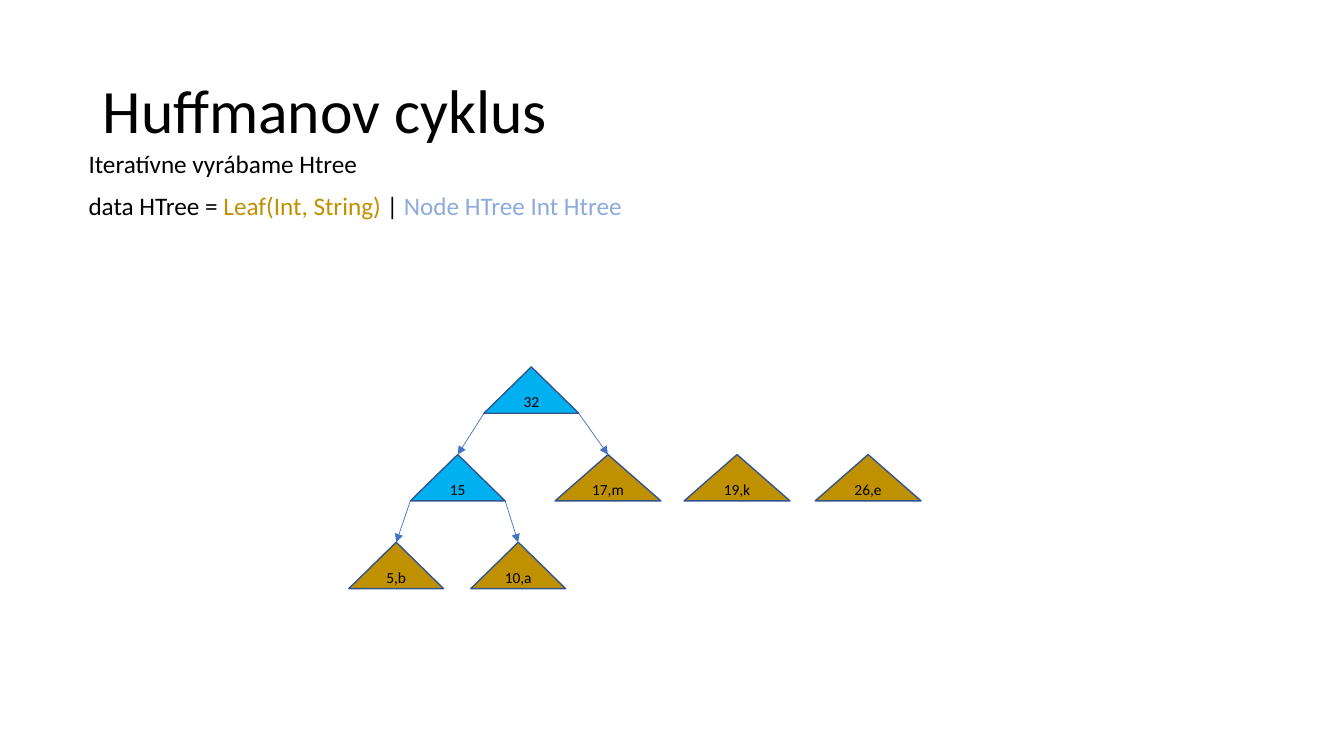
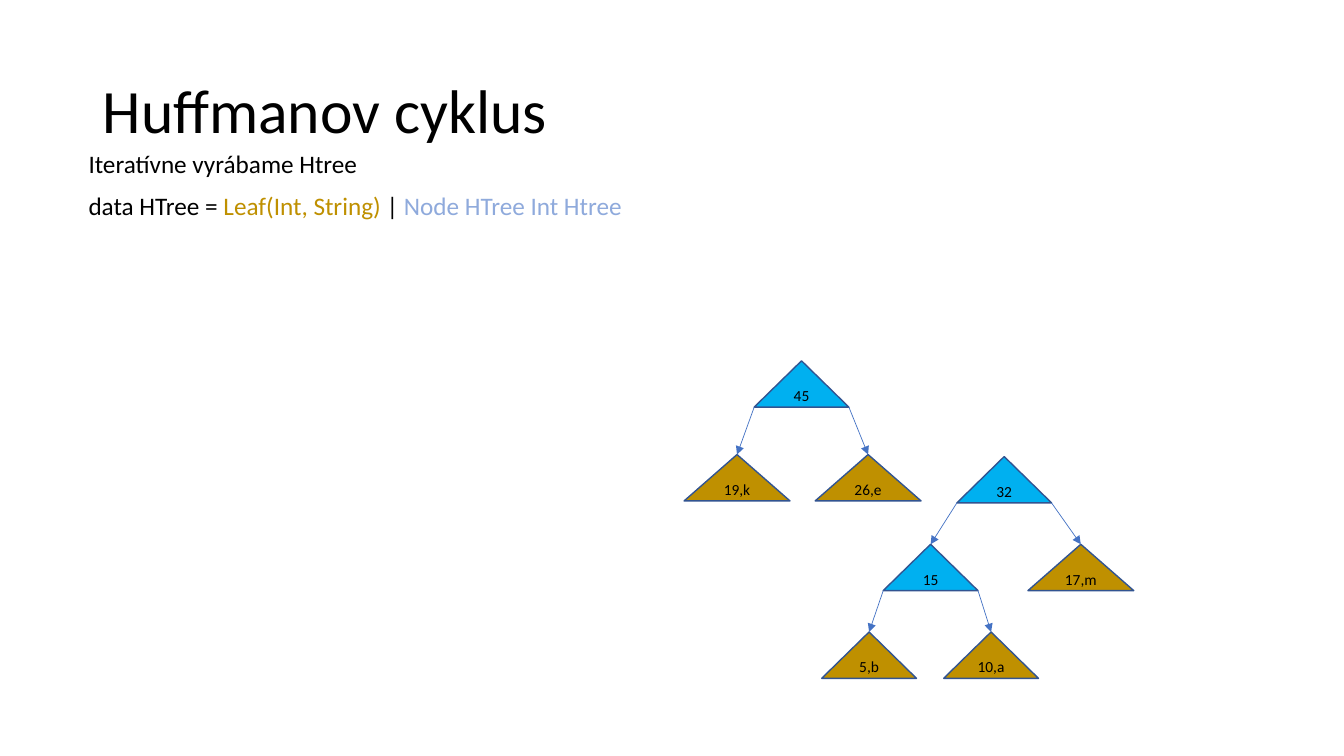
from dataclasses import dataclass
from lxml.etree import SubElement
from pptx import Presentation
from pptx.dml.color import RGBColor
from pptx.enum.shapes import MSO_CONNECTOR, MSO_SHAPE
from pptx.enum.text import MSO_ANCHOR, PP_ALIGN
from pptx.oxml.ns import qn
from pptx.util import Inches, Pt

BLACK = RGBColor(0x00, 0x00, 0x00)
LEAF_GOLD = RGBColor(0xBF, 0x90, 0x00)
NODE_BLUE = RGBColor(0x00, 0xB0, 0xF0)
TYPE_BLUE = RGBColor(0x8F, 0xAA, 0xDC)
OUTLINE = RGBColor(0x32, 0x54, 0x91)
ARROW_BLUE = RGBColor(0x44, 0x72, 0xC4)
FONT = "Calibri"
NARROW, WIDE, HEIGHT = 0.94, 1.05, 0.46

TITLE_BOX = (0.92, 0.4, 11.5, 1.45)
BODY_BOX = (0.78, 1.46, 11.63, 5.74)
BODY_LINES = [
    [("Iteratívne vyrábame Htree", BLACK)],
    [("data HTree = ", BLACK), ("Leaf(Int, String) ", LEAF_GOLD),
     ("| ", BLACK), ("Node HTree Int Htree", TYPE_BLUE)],
]


@dataclass
class Tree:
    label: str
    width: float = NARROW
    drop: float = 0.87
    branches: tuple = ()


LEAF_M = Tree("17,m", WIDE)
LEAF_K = Tree("19,k", WIDE)
LEAF_E = Tree("26,e", WIDE)
NODE_15 = Tree("15", branches=((-0.61, Tree("5,b")), (0.6, Tree("10,a"))))
NODE_32 = Tree("32", branches=((-0.73, NODE_15), (0.76, LEAF_M)))
NODE_45 = Tree("45", drop=0.93, branches=((-0.64, LEAF_K), (0.66, LEAF_E)))

STEPS = [
    [(NODE_32, 5.27, 3.64), (LEAF_K, 7.31, 4.51), (LEAF_E, 8.61, 4.51)],
    [(NODE_45, 7.95, 3.58), (NODE_32, 9.96, 4.53)],
]


def add_span(para, text, size, color):
    span = para.add_run()
    span.text = text
    span.font.name = FONT
    span.font.size = Pt(size)
    span.font.color.rgb = color


def add_text(page, box, lines, size, anchor, space_before=0):
    frame = page.shapes.add_textbox(*map(Inches, box)).text_frame
    frame.word_wrap = True
    frame.vertical_anchor = anchor
    for index, spans in enumerate(lines):
        para = frame.add_paragraph() if index else frame.paragraphs[0]
        para.line_spacing = 0.9
        para.space_before = Pt(space_before)
        for text, color in spans:
            add_span(para, text, size, color)


def add_triangle(page, tree, center, top):
    box = (center - tree.width / 2, top, tree.width, HEIGHT)
    triangle = page.shapes.add_shape(MSO_SHAPE.ISOSCELES_TRIANGLE, *map(Inches, box))
    triangle.shadow.inherit = False
    triangle.fill.solid()
    triangle.fill.fore_color.rgb = NODE_BLUE if tree.branches else LEAF_GOLD
    triangle.line.color.rgb = OUTLINE
    triangle.line.width = Pt(1)
    frame = triangle.text_frame
    frame.word_wrap = False
    frame.vertical_anchor = MSO_ANCHOR.MIDDLE
    para = frame.paragraphs[0]
    para.alignment = PP_ALIGN.CENTER
    add_span(para, tree.label, 11, BLACK)


def add_arrow(page, start, end):
    arrow = page.shapes.add_connector(MSO_CONNECTOR.STRAIGHT, *map(Inches, start + end))
    arrow.line.color.rgb = ARROW_BLUE
    arrow.line.width = Pt(0.5)
    SubElement(arrow.line._get_or_add_ln(), qn("a:tailEnd"), type="triangle")
    SubElement(arrow._element.spPr, qn("a:effectLst"))


def add_tree(page, tree, center, top):
    add_triangle(page, tree, center, top)
    for offset, branch in tree.branches:
        corner = center + (tree.width / 2 if offset > 0 else -tree.width / 2)
        apex = (center + offset, top + tree.drop)
        add_tree(page, branch, *apex)
        add_arrow(page, (corner, top + HEIGHT), apex)


def add_step(deck, forest):
    page = deck.slides.add_slide(deck.slide_layouts[6])
    add_text(page, TITLE_BOX, [[("Huffmanov cyklus", BLACK)]], 44, MSO_ANCHOR.MIDDLE)
    add_text(page, BODY_BOX, BODY_LINES, 18, MSO_ANCHOR.TOP, space_before=10)
    for tree, center, top in forest:
        add_tree(page, tree, center, top)


deck = Presentation()
deck.slide_width = Inches(13.33)
deck.slide_height = Inches(7.5)
for forest in STEPS:
    add_step(deck, forest)
deck.save("out.pptx")
